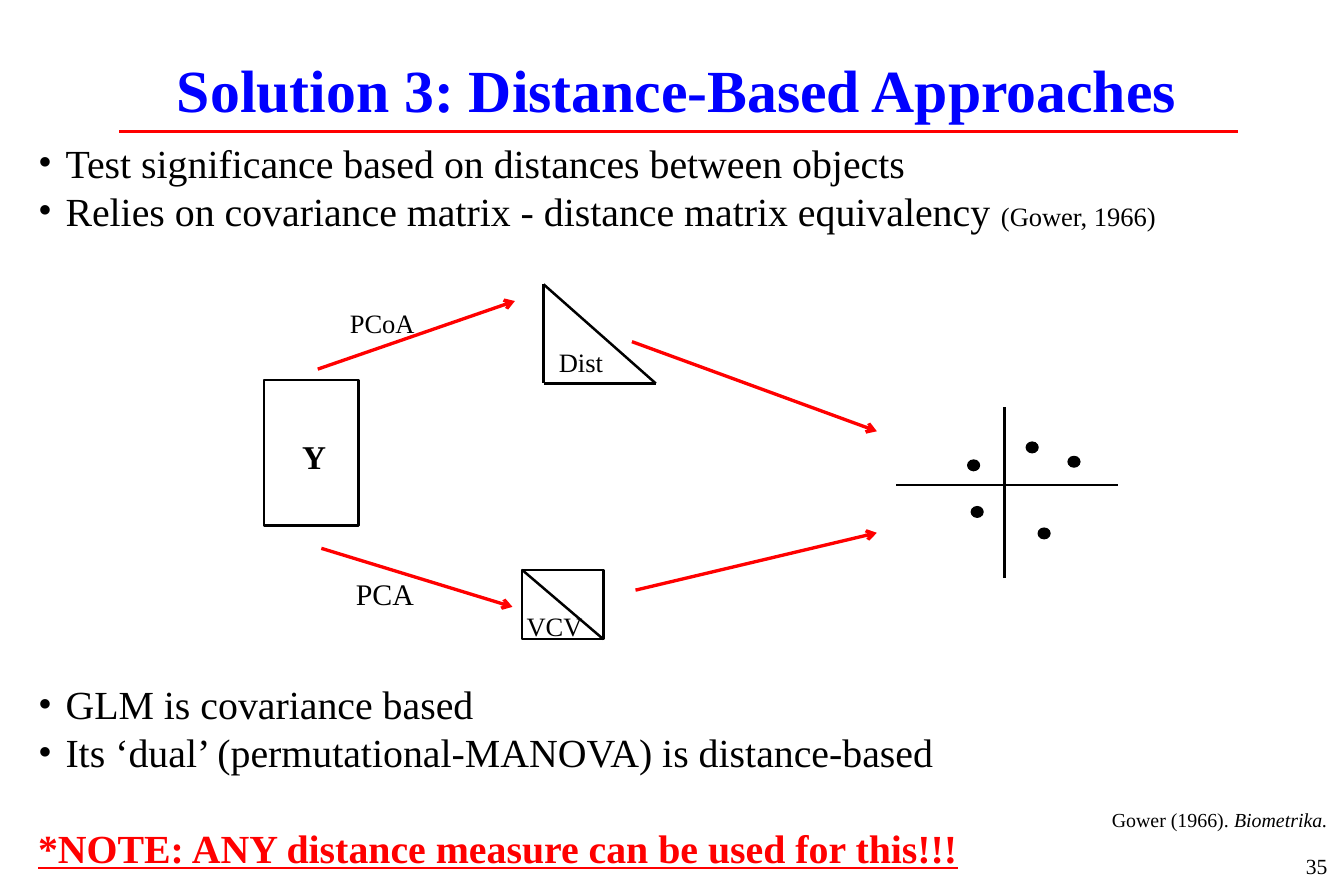
import pptx
import pptx.util
import pptx.dml.color
import pptx.enum.shapes
import pptx.enum.text
import pptx.oxml.ns
import lxml.etree

Inches = pptx.util.Inches
Pt = pptx.util.Pt
SHAPE = pptx.enum.shapes.MSO_SHAPE
ALIGN = pptx.enum.text.PP_ALIGN
ANCHOR = pptx.enum.text.MSO_ANCHOR
FONT = "Times New Roman"
COLORS = {name: pptx.dml.color.RGBColor.from_string(value) for name, value in {
    "black": "000000", "red": "FF0000", "blue": "0000FF"}.items()}

deck = pptx.Presentation()
deck.slide_width, deck.slide_height = Inches(11.25), Inches(7.5)
page = deck.slides.add_slide(deck.slide_layouts[6])


def add_text(place, paragraphs, align=ALIGN.LEFT, anchor=ANCHOR.TOP, wrap=True):
    """Each paragraph is a list of (text, size, colour, styles) runs."""
    box = page.shapes.add_textbox(*map(Inches, place))
    frame = box.text_frame
    frame.word_wrap = wrap
    frame.vertical_anchor = anchor
    for number, runs in enumerate(paragraphs):
        para = frame.paragraphs[0] if number == 0 else frame.add_paragraph()
        para.alignment = align
        for text, size, color, styles in runs:
            span = para.add_run()
            span.text = text
            span.font.name = FONT
            span.font.size = Pt(size)
            span.font.color.rgb = COLORS[color]
            for style in styles:
                setattr(span.font, style, True)
    return frame.paragraphs


def add_line(start, end, color="black", width=1.5, arrow=False):
    line = page.shapes.add_connector(
        pptx.enum.shapes.MSO_CONNECTOR.STRAIGHT, *map(Inches, start + end))
    line.line.color.rgb = COLORS[color]
    line.line.width = Pt(width)
    if arrow:
        lxml.etree.SubElement(line.line._get_or_add_ln(),
                              pptx.oxml.ns.qn("a:tailEnd"), type="arrow")
    lxml.etree.SubElement(line._element.spPr, pptx.oxml.ns.qn("a:effectLst"))


# Bullets above and below the diagram, then the note
intro = add_text((0.22, 1.11, 10.71, 0.9), [
    [("Test significance based on distances between objects", 24, "black", [])],
    [("Relies on covariance matrix - distance matrix equivalency ", 24, "black", []),
     ("(Gower, 1966)", 16, "black", [])],
])
closing = add_text((0.22, 5.64, 10.71, 1.7), [
    [("GLM is covariance based", 24, "black", [])],
    [("Its ‘dual’ (permutational-MANOVA) is distance-based", 24, "black", [])],
    [("*NOTE: ANY distance measure can be used for this!!!", 24, "red",
      ["bold", "underline"])],
])
for para in intro + closing:
    para.line_spacing = Pt(28.9)
closing[2].space_before = Pt(28.9)
for para in intro + closing[:2]:
    properties = para._p.get_or_add_pPr()
    properties.set("marL", str(Inches(0.23)))
    properties.set("indent", str(Inches(-0.23)))
    lxml.etree.SubElement(properties, pptx.oxml.ns.qn("a:buFont"), typeface=FONT)
    lxml.etree.SubElement(properties, pptx.oxml.ns.qn("a:buChar"), char="•")

# Title and rule
add_text((0.08, 0.12, 11.17, 1.25),
         [[("Solution 3: Distance-Based Approaches", 36, "blue", ["bold"])]],
         align=ALIGN.CENTER, anchor=ANCHOR.MIDDLE)
add_line((1, 1.1), (10.36, 1.1), "red")

# Data matrix and covariance matrix
for place in [(2.21, 3.18, 0.79, 1.22), (4.37, 4.77, 0.68, 0.58)]:
    matrix = page.shapes.add_shape(SHAPE.RECTANGLE, *map(Inches, place))
    matrix.shadow.inherit = False
    matrix.fill.background()
    matrix.line.color.rgb = COLORS["black"]
    matrix.line.width = Pt(1.5)
add_line((4.37, 4.77), (5.05, 5.35))

# Distance triangle
top, corner, right = (4.55, 2.38), (4.55, 3.21), (5.49, 3.21)
for start, end in [(top, right), (top, corner), (corner, right)]:
    add_line(start, end)

# Ordination axes and points
add_line((7.5, 4.06), (9.36, 4.06))
add_line((8.41, 4.84), (8.41, 3.41))
for left, upper in [(8.59, 3.7), (8.1, 3.85), (8.94, 3.82), (8.13, 4.24), (8.69, 4.42)]:
    point = page.shapes.add_shape(
        SHAPE.OVAL, Inches(left), Inches(upper), Inches(0.1), Inches(0.09))
    point.shadow.inherit = False
    point.fill.solid()
    point.fill.fore_color.rgb = COLORS["black"]
    point.line.color.rgb = COLORS["black"]
    point.line.width = Pt(0.75)

# Diagram labels
for label, place, size, styles in [
    ("Y", (2.43, 3.6, 0.4, 0.44), 20, ["bold"]),
    ("VCV", (4.31, 5.06, 0.67, 0.37), 16, []),
    ("Dist", (4.58, 2.85, 0.58, 0.37), 16, []),
    ("PCA", (2.88, 4.77, 0.84, 0.4), 18, []),
    ("PCoA", (2.83, 2.52, 0.86, 0.37), 16, []),
]:
    add_text(place, [[(label, size, "black", styles)]], wrap=False)

# Arrows between the stages
for start, end in [
    ((2.69, 4.59), (4.29, 5.08)),
    ((5.32, 4.94), (7.34, 4.46)),
    ((2.66, 3.09), (4.31, 2.52)),
    ((5.29, 2.86), (7.34, 3.61)),
]:
    add_line(start, end, "red", 2, arrow=True)

# Citation and page number
add_text((9.04, 6.71, 2.17, 0.3),
         [[("Gower (1966). ", 12, "black", []), ("Biometrika.", 12, "black", ["italic"])]],
         align=ALIGN.RIGHT)
add_text((8.87, 7, 2.34, 0.5), [[("35", 13, "black", [])]],
         align=ALIGN.RIGHT, anchor=ANCHOR.MIDDLE)

deck.save("out.pptx")
